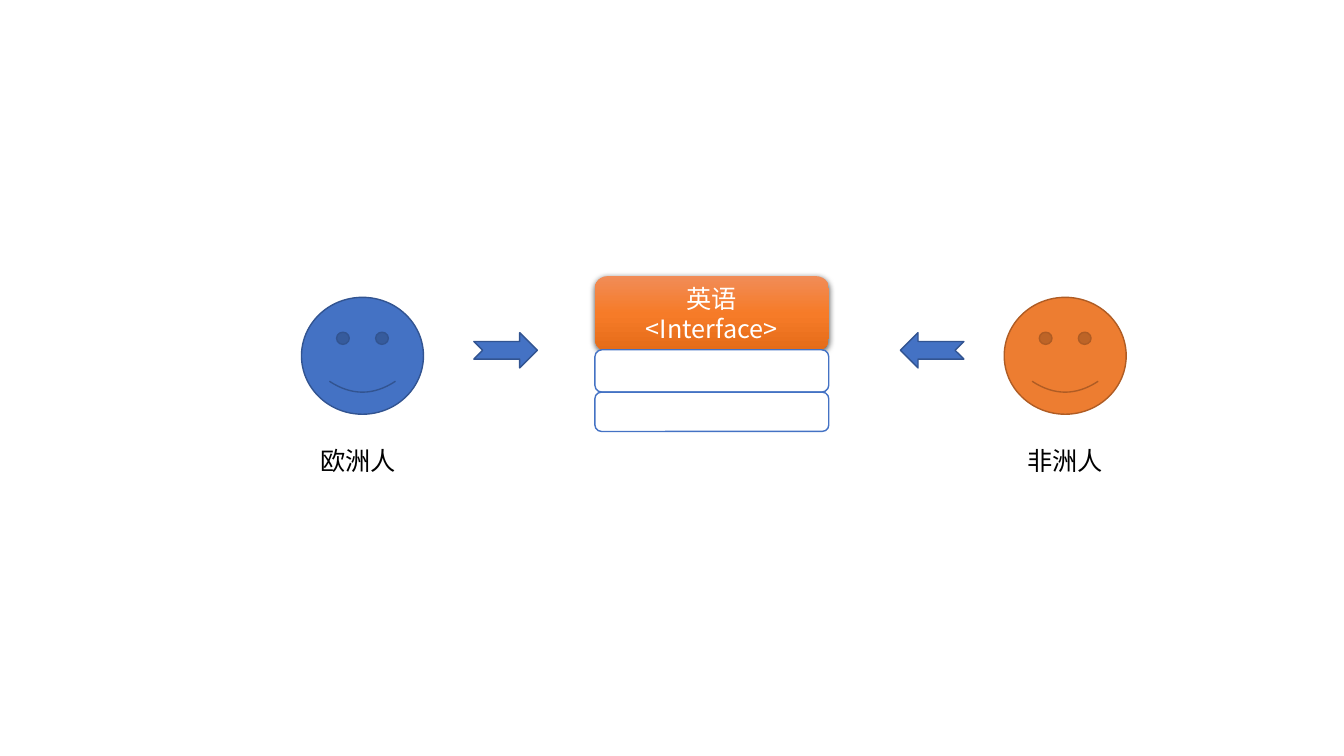
from lxml.etree import SubElement
from pptx import Presentation
from pptx.dml.color import RGBColor
from pptx.enum.shapes import MSO_SHAPE
from pptx.enum.text import MSO_ANCHOR, MSO_AUTO_SIZE, PP_ALIGN
from pptx.oxml.ns import qn
from pptx.util import Inches, Pt

THEME = {
    "font": "Noto Sans CJK SC", "size": 18, "line": 1,
    "white": "FFFFFF", "black": "000000",
    "blue": "4472C4", "dark_blue": "325491",
    "orange": "ED7D31", "dark_orange": "AF5C24",
    "gradient": [(0, "F18C57"), (50, "F67B28"), (100, "E56C19")],
}
INTERFACE = ["英语", "<Interface>"]
MEMBER_HEIGHTS = [0.42, 0.39]
SPEAKERS = [
    {"name": "欧洲人", "face": 2.99, "label": 3.08, "arrow": 4.7,
     "turn": 0, "fill": "blue", "line": "dark_blue"},
    {"name": "非洲人", "face": 9.96, "label": 10.09, "arrow": 8.93,
     "turn": 180, "fill": "orange", "line": "dark_orange"},
]
CARD = {"left": 5.9, "top": 2.74, "width": 2.32, "header": 0.74}


def add_outline(kind, box, fill=None, line=None):
    shape = page.shapes.add_shape(kind, *map(Inches, box))
    shape.shadow.inherit = False
    if fill:
        shape.fill.solid()
        shape.fill.fore_color.rgb = RGBColor.from_string(THEME[fill])
    if line:
        shape.line.color.rgb = RGBColor.from_string(THEME[line])
        shape.line.width = Pt(THEME["line"])
    else:
        shape.line.fill.background()
    return shape


def write(shape, lines, color, align, frame_format):
    frame = shape.text_frame
    for key, value in frame_format.items():
        setattr(frame, key, value)
    frame.text = "\n".join(lines)
    for para in frame.paragraphs:
        para.alignment = align
        for span in para.runs:
            formats = {"name": THEME["font"], "size": Pt(THEME["size"])}
            for key, value in formats.items():
                setattr(span.font, key, value)
            span.font.color.rgb = RGBColor.from_string(THEME[color])
            properties = span._r.get_or_add_rPr()
            SubElement(properties, qn("a:ea"), typeface=THEME["font"])


def add_color(parent, color):
    return SubElement(parent, qn("a:srgbClr"), val=color)


def shade_header(shape):
    shape.fill.gradient()
    shape.fill.gradient_angle = 270
    stops = shape._element.spPr.find(".//" + qn("a:gsLst"))
    for stop in list(stops):
        stops.remove(stop)
    for position, color in THEME["gradient"]:
        add_color(SubElement(stops, qn("a:gs"), pos=str(position * 1000)), color)
    effects = shape._element.spPr.find(qn("a:effectLst"))
    shadow = SubElement(effects, qn("a:outerShdw"), blurRad=str(Pt(4.5)),
                        dist=str(Pt(1.5)), dir="5400000", algn="ctr", rotWithShape="0")
    SubElement(add_color(shadow, THEME["black"]), qn("a:alpha"), val="63000")


deck = Presentation()
deck.slide_width, deck.slide_height = Inches(13.33), Inches(7.5)
page = deck.slides.add_slide(deck.slide_layouts[6])

header = add_outline(MSO_SHAPE.ROUNDED_RECTANGLE,
                     (CARD["left"], CARD["top"], CARD["width"], CARD["header"]))
shade_header(header)
write(header, INTERFACE, "white", PP_ALIGN.CENTER,
      {"vertical_anchor": MSO_ANCHOR.MIDDLE, "word_wrap": True})

top = CARD["top"] + CARD["header"] - 0.01
for height in MEMBER_HEIGHTS:
    add_outline(MSO_SHAPE.ROUNDED_RECTANGLE,
                (CARD["left"], top, CARD["width"], height), "white", "blue")
    top += height

for speaker in SPEAKERS:
    add_outline(MSO_SHAPE.SMILEY_FACE, (speaker["face"], 2.95, 1.21, 1.16),
                speaker["fill"], speaker["line"])
    arrow = add_outline(MSO_SHAPE.NOTCHED_RIGHT_ARROW,
                        (speaker["arrow"], 3.3, 0.63, 0.35), "blue", "dark_blue")
    arrow.rotation = speaker["turn"]
    label = page.shapes.add_textbox(*map(Inches, (speaker["label"], 4.37, 0.96, 0.4)))
    write(label, [speaker["name"]], "black", PP_ALIGN.LEFT,
          {"word_wrap": False, "auto_size": MSO_AUTO_SIZE.SHAPE_TO_FIT_TEXT})

deck.save("out.pptx")
